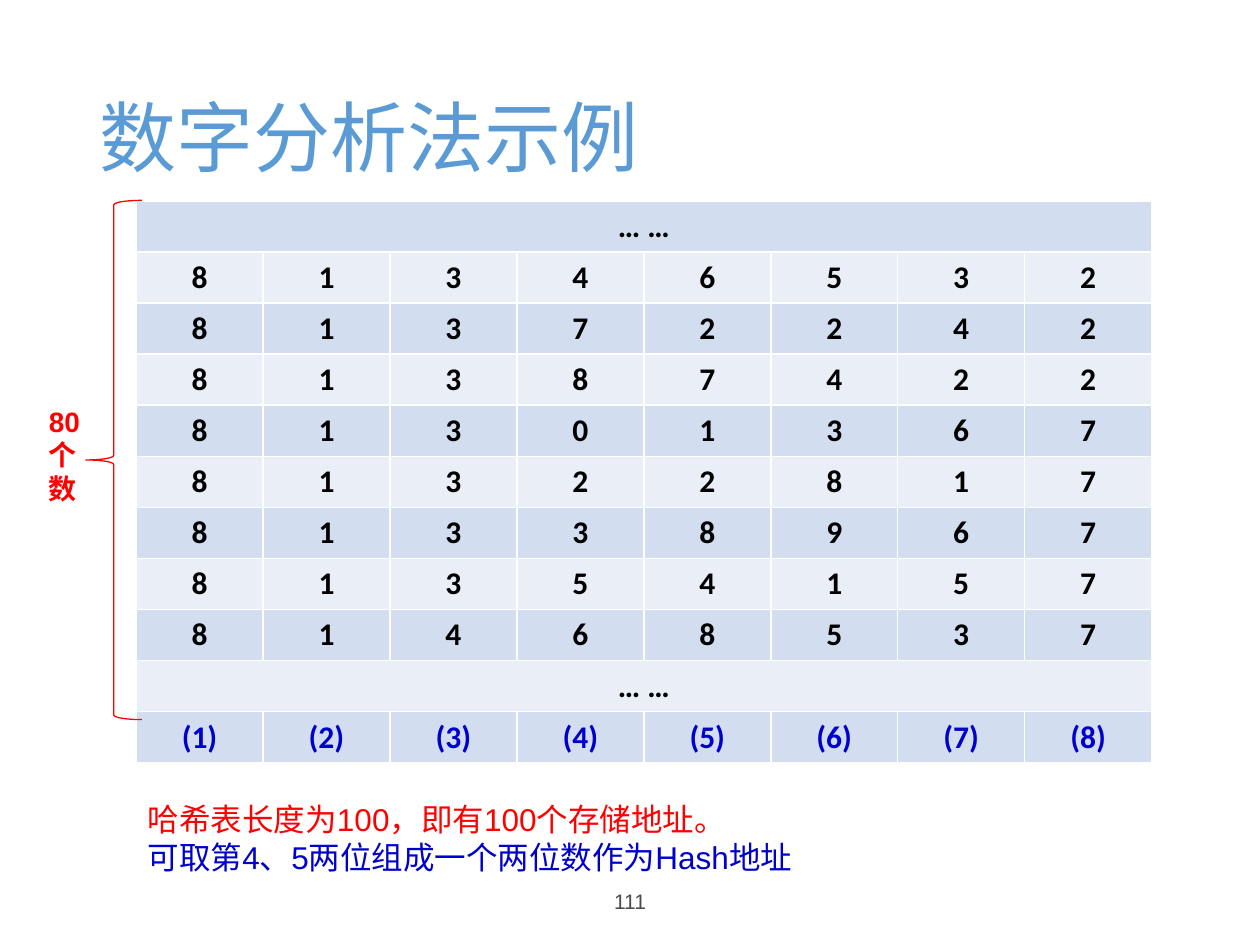
from lxml import etree
from pptx import Presentation
from pptx.dml.color import RGBColor
from pptx.enum.shapes import MSO_SHAPE
from pptx.enum.text import MSO_ANCHOR, PP_ALIGN
from pptx.oxml.ns import qn
from pptx.util import Pt

LEFT, MID = PP_ALIGN.LEFT, PP_ALIGN.CENTER
TOP, CENTER = MSO_ANCHOR.TOP, MSO_ANCHOR.MIDDLE
BRACE = MSO_SHAPE.LEFT_BRACE
COLORS = {
    "title": "5B9BD5", "red": "FF0000", "blue": "0000CC", "black": "000000",
    "gray": "4B4B4B", "dark": "D2DEEF", "light": "EAEFF7", "white": "FFFFFF",
}


def rgb(name):
    return RGBColor.from_string(COLORS[name])


def write(frame, text, size=18, font="Arial", color="black", bold=False,
          align=LEFT, anchor=TOP, more=False):
    """Fill the first paragraph of a text frame, or add one more."""
    para = frame.add_paragraph() if more else frame.paragraphs[0]
    para.alignment = align
    run = para.add_run()
    run.text = text
    run.font.size, run.font.name, run.font.bold = Pt(size), font, bold
    run.font.color.rgb = rgb(color)
    frame.word_wrap = True
    frame.vertical_anchor = anchor
    return para


deck = Presentation()
deck.slide_width, deck.slide_height = Pt(720), Pt(540)
slide = deck.slides.add_slide(deck.slide_layouts[5])
shapes = slide.shapes

# Title
title = shapes.title
title.left, title.top, title.width, title.height = Pt(49.5), Pt(28.75), Pt(621), Pt(104.4)
head = write(title.text_frame, "数字分析法示例", size=44, font="Calibri",
             color="title", anchor=CENTER)
head.line_spacing = 0.9

# Table of keys, with the digit positions in the last row
keys = ["81346532", "81372242", "81387422", "81301367",
        "81322817", "81338967", "81354157", "81468537"]
dots = ["… …"] + [""] * 7
rows = [dots, *map(list, keys), dots, [f"({n})" for n in range(1, 9)]]
table = shapes.add_table(len(rows), 8, Pt(77.75), Pt(114.75), Pt(580.3), Pt(321.2)).table
table.first_row = table.horz_banding = False
for col in table.columns:
    col.width = Pt(72.54)
for r, row in enumerate(rows):
    table.rows[r].height = Pt(29.2)
    for c, text in enumerate(row):
        cell = table.cell(r, c)
        if text:
            write(cell.text_frame, text, font="Calibri", bold=True, align=MID,
                  color="blue" if r == len(rows) - 1 else "black")
        cell.vertical_anchor = CENTER
        # White borders come before the fill in the cell properties
        props = cell._tc.get_or_add_tcPr()
        for side in ("a:lnL", "a:lnR", "a:lnT", "a:lnB"):
            edge = etree.SubElement(props, qn(side), w=str(Pt(1)))
            paint = etree.SubElement(edge, qn("a:solidFill"))
            etree.SubElement(paint, qn("a:srgbClr"), val=COLORS["white"])
        cell.fill.solid()
        cell.fill.fore_color.rgb = rgb("light" if r % 2 else "dark")
    if row is dots:
        table.cell(r, 0).merge(table.cell(r, 7))

# Page number
page = shapes.add_textbox(Pt(238.5), Pt(500.5), Pt(243), Pt(28.8))
write(page.text_frame, "111", size=12, color="gray", align=MID, anchor=CENTER)

# Brace and its label
brace = shapes.add_shape(BRACE, Pt(49), Pt(114.5), Pt(32), Pt(296.7))
brace.adjustments[0], brace.adjustments[1] = 0.08, 0.5
brace.shadow.inherit = False
brace.fill.background()
brace.line.color.rgb = rgb("red")
brace.line.width = Pt(0.75)
label = shapes.add_textbox(Pt(20.9), Pt(227.5), Pt(42.5), Pt(65.5))
write(label.text_frame, "80个数", size=16, color="red", bold=True)

# Conclusion
note = shapes.add_textbox(Pt(77.5), Pt(453.6), Pt(579), Pt(51)).text_frame
write(note, "哈希表长度为100，即有100个存储地址。", color="red")
write(note, "可取第4、5两位组成一个两位数作为Hash地址", color="blue", more=True)

deck.save("out.pptx")
